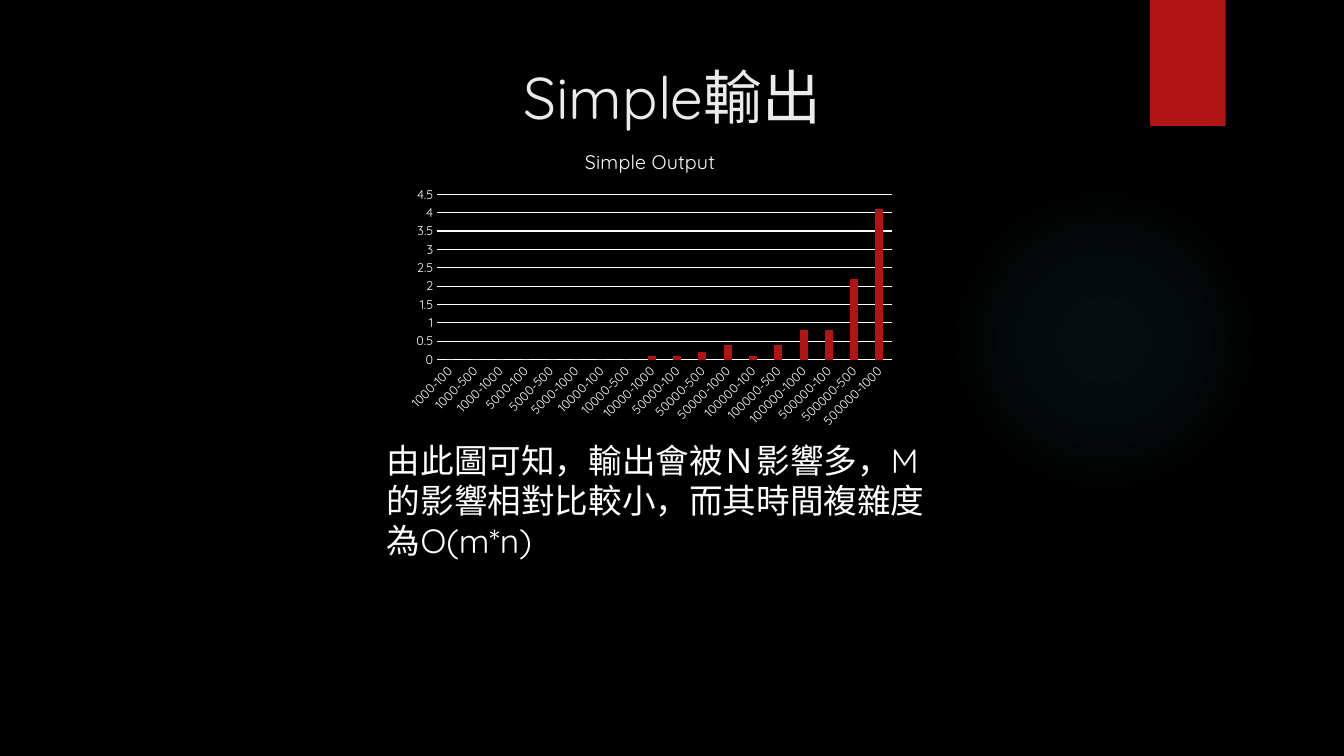
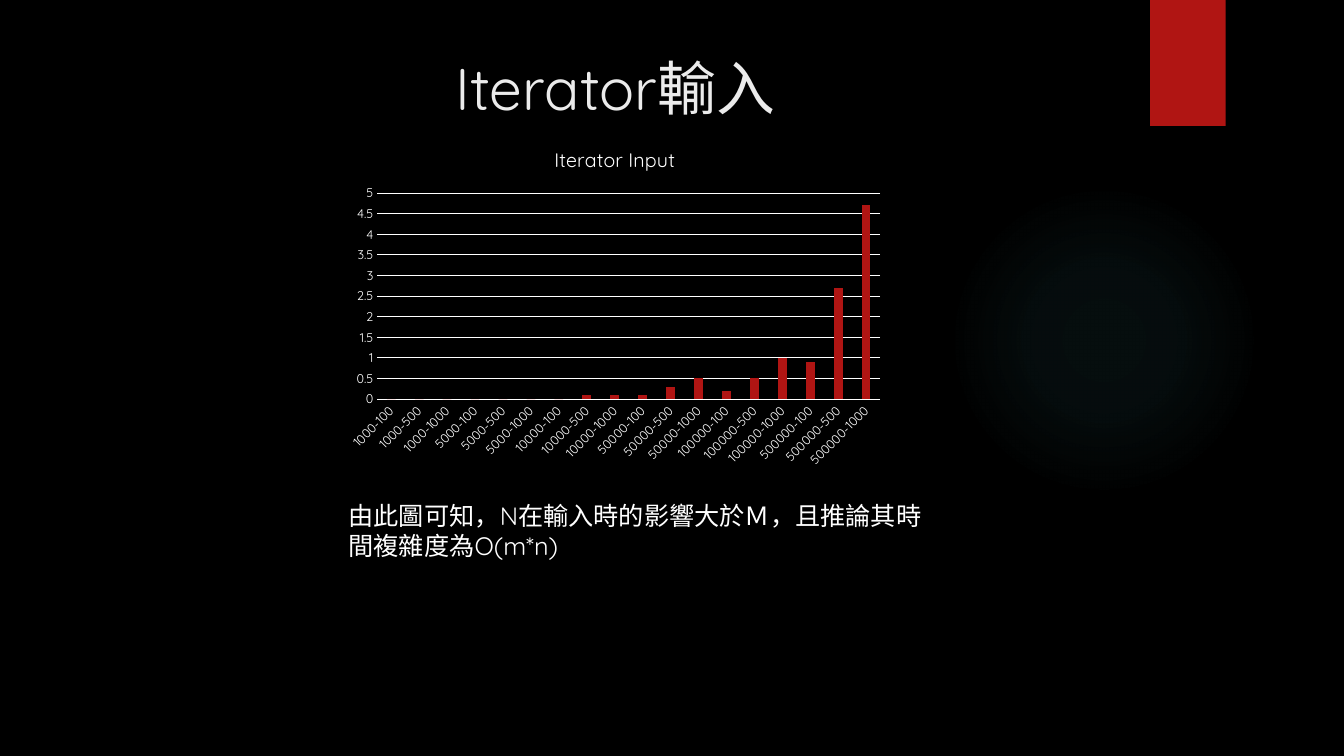
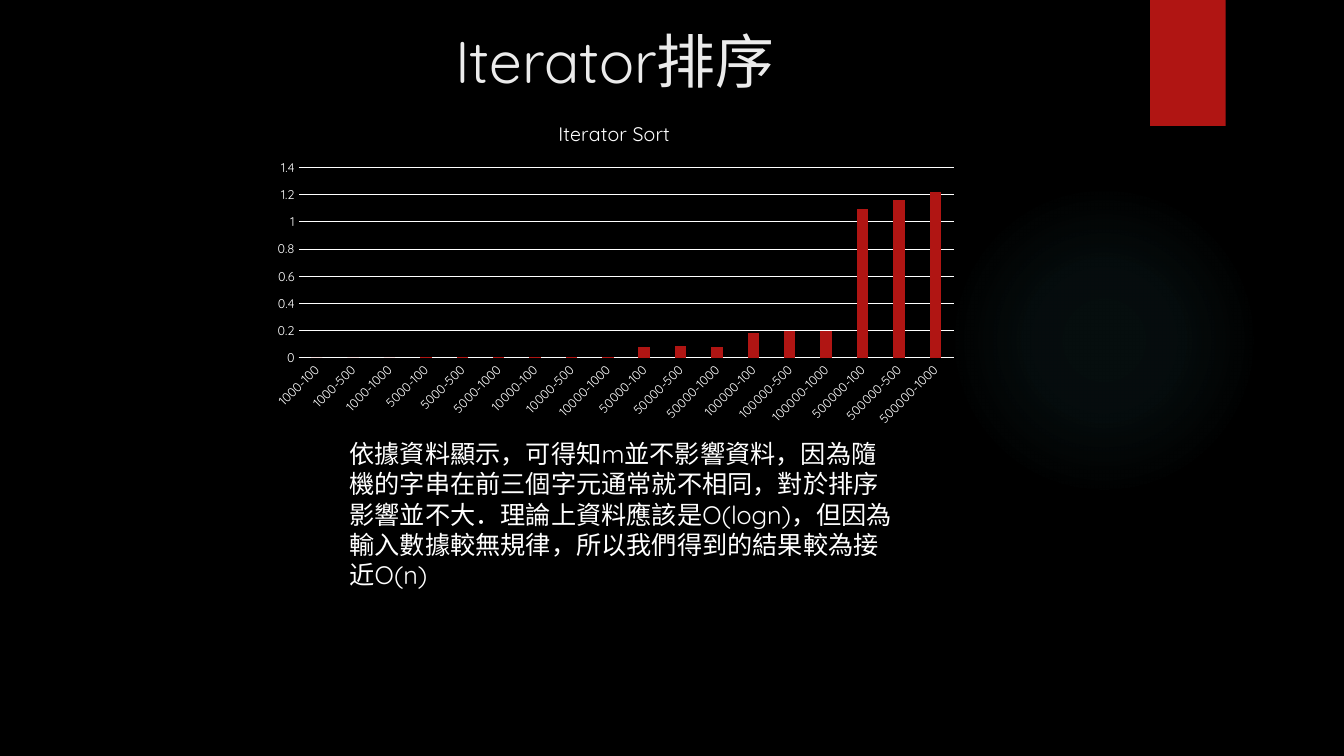
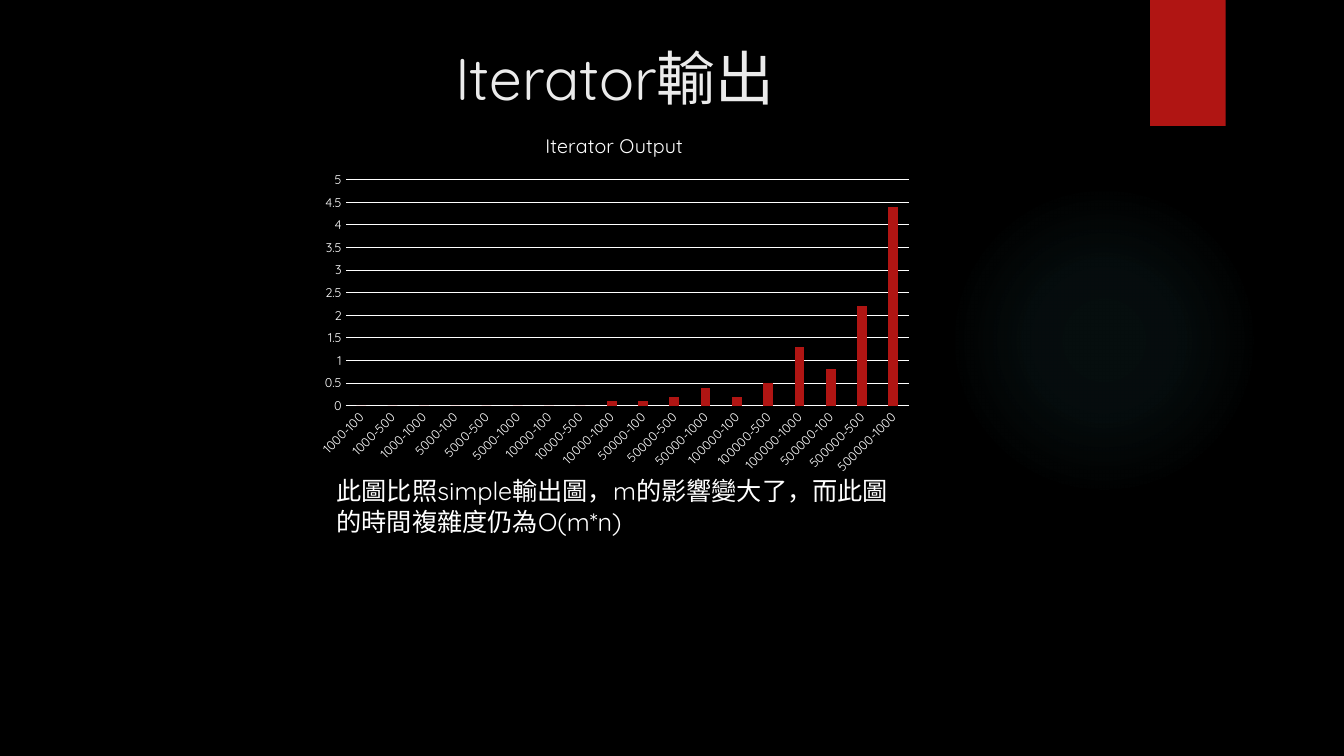
from lxml import etree
from pptx import Presentation
from pptx.chart.data import CategoryChartData
from pptx.dml.color import RGBColor
from pptx.enum import chart as charts, shapes, text
from pptx.oxml import ns
from pptx.util import Pt

FONT = "Quicksand"
BLACK, WHITE, TITLE, RED, TEAL = "000000", "FFFFFF", "EBEBEB", "B01513", "50B9C1"
GLOW_BOX = (677.5, 131.8, 221.8, 221.8)
BAND_BOX = (821.5, 0, 54, 90)
GLOW_STOPS = [(0, 7), (36, 6), (69, 0)]

CATEGORIES = [f"{n}-{m}" for n in (1000, 5000, 10000, 50000, 100000, 500000)
              for m in (100, 500, 1000)]

SLIDES = [
    {
        "title": "Simple輸出", "title_box": (183.6, 39.6, 593.3, 95),
        "chart": "Simple Output", "chart_box": (284.4, 94.3, 360, 216),
        "values": [0, 0, 0, 0, 0, 0, 0, 0, 0.1, 0.1, 0.2, 0.4, 0.1, 0.4, 0.8, 0.8, 2.2, 4.1],
        "top": 4.5, "step": 0.5,
        "note": "由此圖可知，輸出會被Ｎ影響多，M的影響相對比較小，而其時間複雜度為O(m*n)",
        "note_box": (269.3, 310.3, 416.9, 116.6), "note_size": 24,
    },
    {
        "title": "Iterator輸入", "title_box": (134.6, 33.1, 609.8, 78.5),
        "chart": "Iterator Input", "chart_box": (241.9, 92.2, 394.6, 247),
        "values": [0, 0, 0, 0, 0, 0, 0, 0.1, 0.1, 0.1, 0.3, 0.5, 0.2, 0.5, 1, 0.9, 2.7, 4.7],
        "top": 5, "step": 0.5,
        "note": "由此圖可知，N在輸入時的影響大於Ｍ，且推論其時間複雜度為O(m*n)",
        "note_box": (241.9, 353.5, 432.7, 51.1), "note_size": 18,
    },
    {
        "title": "Iterator排序", "title_box": (181.4, 14.4, 515.5, 99.4),
        "chart": "Iterator Sort", "chart_box": (186.5, 74.2, 504.7, 235.4),
        "values": [0, 0, 0, 0.01, 0.01, 0.01, 0.01, 0.01, 0.01, 0.08, 0.09, 0.08,
                   0.18, 0.2, 0.2, 1.09, 1.16, 1.22],
        "top": 1.4, "step": 0.2,
        "note": "依據資料顯示，可得知m並不影響資料，因為隨機的字串在前三個字元通常就不相同，"
                "對於排序影響並不大．理論上資料應該是O(logn)，但因為輸入數據較無規律，"
                "所以我們得到的結果較為接近O(n)",
        "note_box": (242.6, 309.6, 401.8, 116.6), "note_size": 18,
    },
    {
        "title": "Iterator輸出", "title_box": (244.8, 25.9, 388.8, 67),
        "chart": "Iterator Output", "chart_box": (219.6, 82.1, 438.5, 262.1),
        "values": [0, 0, 0, 0, 0, 0, 0, 0, 0.1, 0.1, 0.2, 0.4, 0.2, 0.5, 1.3, 0.8, 2.2, 4.4],
        "top": 5, "step": 0.5,
        "note": "此圖比照simple輸出圖，m的影響變大了，而此圖的時間複雜度仍為O(m*n)",
        "note_box": (233.3, 336.2, 411.1, 51.1), "note_size": 18,
    },
]


def rgb(color):
    return RGBColor.from_string(color)


def pts(box):
    return [Pt(v) for v in box]


def style(font, size, color=WHITE):
    font.name = FONT
    font.size = Pt(size)
    font.bold = False
    font.color.rgb = rgb(color)


def line(fmt):
    fmt.color.rgb = rgb(WHITE)
    fmt.width = Pt(0.75)


def add_plain(s, kind, box, color):
    sp = s.shapes.add_shape(kind, *pts(box))
    sp.shadow.inherit = False
    sp.fill.solid()
    sp.fill.fore_color.rgb = rgb(color)
    sp.line.fill.background()
    return sp


def add_glow(s):
    sp = add_plain(s, shapes.MSO_SHAPE.OVAL, GLOW_BOX, TEAL)
    stops = "".join(
        f'<a:gs pos="{pos * 1000}"><a:srgbClr val="{TEAL}">'
        f'<a:alpha val="{alpha * 1000}"/></a:srgbClr></a:gs>'
        for pos, alpha in GLOW_STOPS)
    grad = etree.fromstring(
        f'<a:gradFill {ns.nsdecls("a")} rotWithShape="1"><a:gsLst>{stops}</a:gsLst>'
        '<a:path path="circle"><a:fillToRect l="50000" t="50000" r="50000" b="50000"/>'
        '</a:path></a:gradFill>')
    solid = sp._element.spPr.find(ns.qn("a:solidFill"))
    solid.getparent().replace(solid, grad)


def add_text(s, words, box, size, color=WHITE, align=text.PP_ALIGN.LEFT):
    tf = s.shapes.add_textbox(*pts(box)).text_frame
    tf.word_wrap = True
    p = tf.paragraphs[0]
    p.text = words
    p.alignment = align
    style(p.runs[0].font, size, color)


def add_columns(s, title, box, values, top, step):
    data = CategoryChartData()
    data.categories = CATEGORIES
    data.add_series("Series 1", values)
    chart = s.shapes.add_chart(
        charts.XL_CHART_TYPE.COLUMN_CLUSTERED, *pts(box), data).chart
    style(chart.font, 10)
    chart.has_legend = False
    chart.has_title = True
    p = chart.chart_title.text_frame.paragraphs[0]
    p.text = title
    style(p.runs[0].font, 14)

    plot = chart.plots[0]
    plot.gap_width = 219
    plot.overlap = -27
    plot.vary_by_categories = False
    fill = plot.series[0].format.fill
    fill.solid()
    fill.fore_color.rgb = rgb(RED)

    for axis in (chart.category_axis, chart.value_axis):
        axis.major_tick_mark = axis.minor_tick_mark = charts.XL_TICK_MARK.NONE
        style(axis.tick_labels.font, 9)
    line(chart.category_axis.format.line)
    body = chart.category_axis._element.find(ns.qn("c:txPr")).find(ns.qn("a:bodyPr"))
    body.set("rot", "-2700000")
    axis = chart.value_axis
    axis.minimum_scale, axis.maximum_scale, axis.major_unit = 0, top, step
    axis.format.line.fill.background()
    axis.has_major_gridlines = True
    line(axis.major_gridlines.format.line)


def main():
    prs = Presentation()
    prs.slide_width, prs.slide_height = Pt(960), Pt(540)
    background = prs.slide_master.background.fill
    background.solid()
    background.fore_color.rgb = rgb(BLACK)
    for d in SLIDES:
        s = prs.slides.add_slide(prs.slide_layouts[6])
        add_glow(s)
        add_plain(s, shapes.MSO_SHAPE.RECTANGLE, BAND_BOX, RED)
        add_text(s, d["title"], d["title_box"], 42, TITLE, text.PP_ALIGN.CENTER)
        add_text(s, d["note"], d["note_box"], d["note_size"])
        add_columns(s, d["chart"], d["chart_box"], d["values"], d["top"], d["step"])
    prs.save("out.pptx")


if __name__ == "__main__":
    main()
